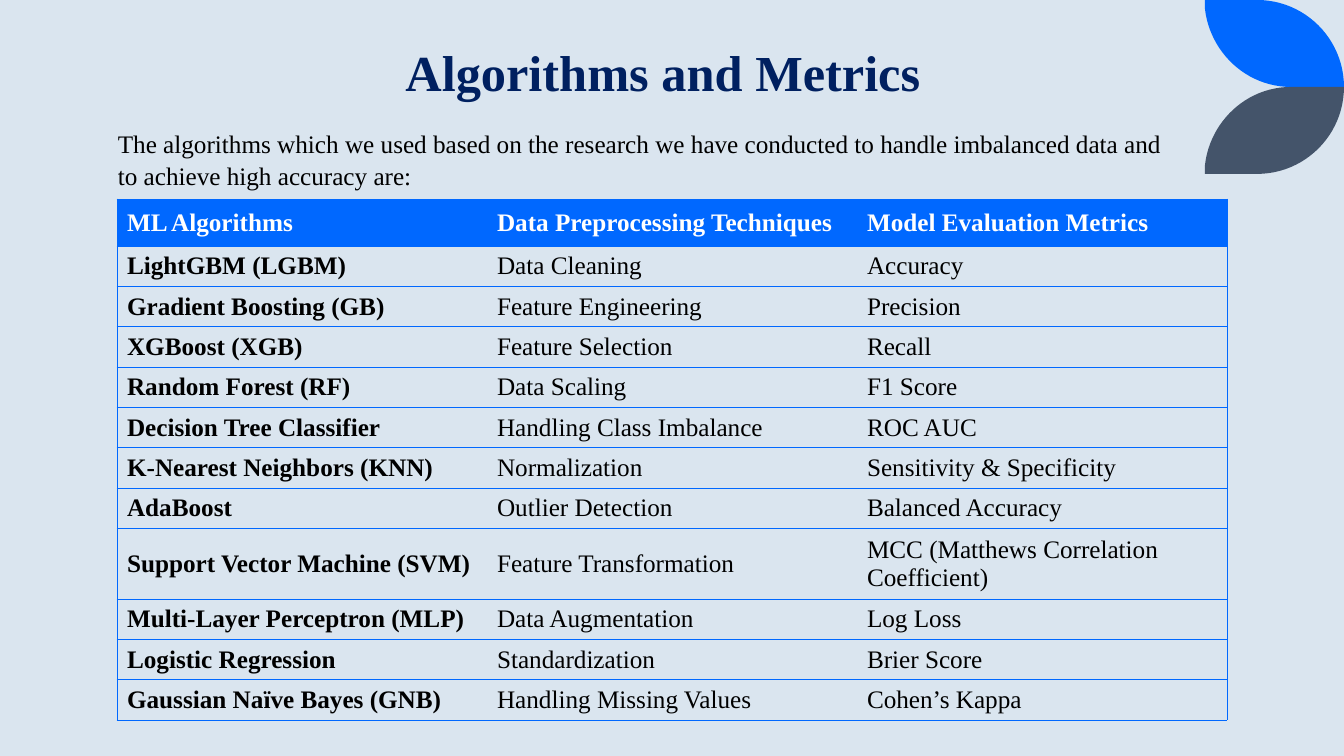
from pptx import Presentation
from pptx.dml.color import RGBColor
from pptx.enum.text import MSO_ANCHOR, PP_ALIGN
from pptx.oxml import parse_xml
from pptx.oxml.ns import nsdecls, qn
from pptx.util import Pt

PX = 914400 / 100.8
FONT = "Times New Roman"
PALE = RGBColor(0xDA, 0xE5, 0xEF)
BLUE = RGBColor(0x00, 0x68, 0xFF)
SLATE = RGBColor(0x44, 0x54, 0x6A)
NAVY = RGBColor(0x00, 0x20, 0x60)
WHITE = RGBColor(0xFF, 0xFF, 0xFF)
BLACK = RGBColor(0x00, 0x00, 0x00)
LEFT, CENTER = PP_ALIGN.LEFT, PP_ALIGN.CENTER
TOP, MIDDLE, BOTTOM = MSO_ANCHOR.TOP, MSO_ANCHOR.MIDDLE, MSO_ANCHOR.BOTTOM
NO_GRID_STYLE = "{2D5ABB26-0587-4C30-8999-92F81FD0307C}"

ROWS = [
    ("ML Algorithms", "Data Preprocessing Techniques", "Model Evaluation Metrics"),
    ("LightGBM (LGBM)", "Data Cleaning", "Accuracy"),
    ("Gradient Boosting (GB)", "Feature Engineering", "Precision"),
    ("XGBoost (XGB)", "Feature Selection", "Recall"),
    ("Random Forest (RF)", "Data Scaling", "F1 Score"),
    ("Decision Tree Classifier", "Handling Class Imbalance", "ROC AUC"),
    ("K-Nearest Neighbors (KNN)", "Normalization", "Sensitivity & Specificity"),
    ("AdaBoost", "Outlier Detection", "Balanced Accuracy"),
    ("Support Vector Machine (SVM)", "Feature Transformation",
     "MCC (Matthews Correlation Coefficient)"),
    ("Multi-Layer Perceptron (MLP)", "Data Augmentation", "Log Loss"),
    ("Logistic Regression", "Standardization", "Brier Score"),
    ("Gaussian Naïve Bayes (GNB)", "Handling Missing Values", "Cohen’s Kappa"),
]
HEADER_HEIGHT, ROW_HEIGHT, TWO_LINE_HEIGHT = 47, 38, 66
TWO_LINE_ROW = 8
COLUMN_WIDTH = 370


def px(length):
    return round(length * PX)


def write(frame, text, size=18, color=BLACK, bold=False, align=LEFT, spacing=1.0):
    frame.word_wrap = True
    paragraph = frame.paragraphs[0]
    paragraph.alignment = align
    paragraph.line_spacing = spacing
    run = paragraph.add_run()
    run.text = text
    run.font.name = FONT
    run.font.size = Pt(size)
    run.font.bold = bold
    run.font.color.rgb = color


prs = Presentation()
prs.slide_width, prs.slide_height = px(1344), px(756)
slide = prs.slides.add_slide(prs.slide_layouts[6])
slide.background.fill.solid()
slide.background.fill.fore_color.rgb = PALE

# Corner leaves: the lower one mirrors the upper one across y = 87
outer_curve = [(1257, 0), (1305, 0), (1344, 39), (1344, 87)]
inner_curve = [(1291, 87), (1246, 87), (1210, 52), (1205, 9)]
STEPS = 24
outline = []
for curve in (outer_curve, inner_curve):
    for step in range(STEPS + 1):
        t = step / STEPS
        weights = ((1 - t) ** 3, 3 * t * (1 - t) ** 2, 3 * t * t * (1 - t), t ** 3)
        outline.append(tuple(sum(w * point[axis] for w, point in zip(weights, curve))
                             for axis in (0, 1)))

for base, direction, color in ((0, 1, BLUE), (174, -1, SLATE)):
    builder = slide.shapes.build_freeform(px(1205), px(base))
    builder.add_line_segments([(px(x), px(base + direction * y)) for x, y in outline])
    leaf = builder.convert_to_shape()
    leaf.shadow.inherit = False
    leaf.fill.solid()
    leaf.fill.fore_color.rgb = color
    leaf.line.fill.background()

title = slide.shapes.add_textbox(px(129), px(28), px(1068), px(78)).text_frame
title.vertical_anchor = BOTTOM
write(title, "Algorithms and Metrics", size=36, color=NAVY, bold=True,
      align=CENTER, spacing=0.8)

heights = [HEADER_HEIGHT] + [ROW_HEIGHT] * (len(ROWS) - 1)
heights[TWO_LINE_ROW] = TWO_LINE_HEIGHT
column_count = len(ROWS[0])
table_frame = slide.shapes.add_table(len(ROWS), column_count, px(117), px(199),
                                     px(COLUMN_WIDTH * column_count), px(sum(heights)))
for style in table_frame.element.iter(qn("a:tableStyleId")):
    style.text = NO_GRID_STYLE
table = table_frame.table
table.horz_banding = False
for column in table.columns:
    column.width = px(COLUMN_WIDTH)

for r, (texts, height) in enumerate(zip(ROWS, heights)):
    table.rows[r].height = px(height)
    for c, text in enumerate(texts):
        cell = table.cell(r, c)
        cell.vertical_anchor = MIDDLE
        is_header = r == 0
        write(cell.text_frame, text, color=WHITE if is_header else BLACK,
              bold=is_header or c == 0)
        sides = ["lnL"] * (c == 0) + ["lnR"] * (c == column_count - 1) + ["lnT", "lnB"]
        for side in sides:
            cell._tc.get_or_add_tcPr().append(parse_xml(
                f'<a:{side} {nsdecls("a")} w="{Pt(0.5)}"><a:solidFill>'
                f'<a:srgbClr val="{BLUE}"/></a:solidFill></a:{side}>'))
        if is_header:
            cell.fill.solid()
            cell.fill.fore_color.rgb = BLUE
        else:
            cell.fill.background()

intro = slide.shapes.add_textbox(px(108), px(121), px(1068), px(72)).text_frame
intro.vertical_anchor = TOP
write(intro, "The algorithms which we used based on the research we have conducted "
      "to handle imbalanced data and to achieve high accuracy are:", spacing=1.07)

prs.save("out.pptx")
